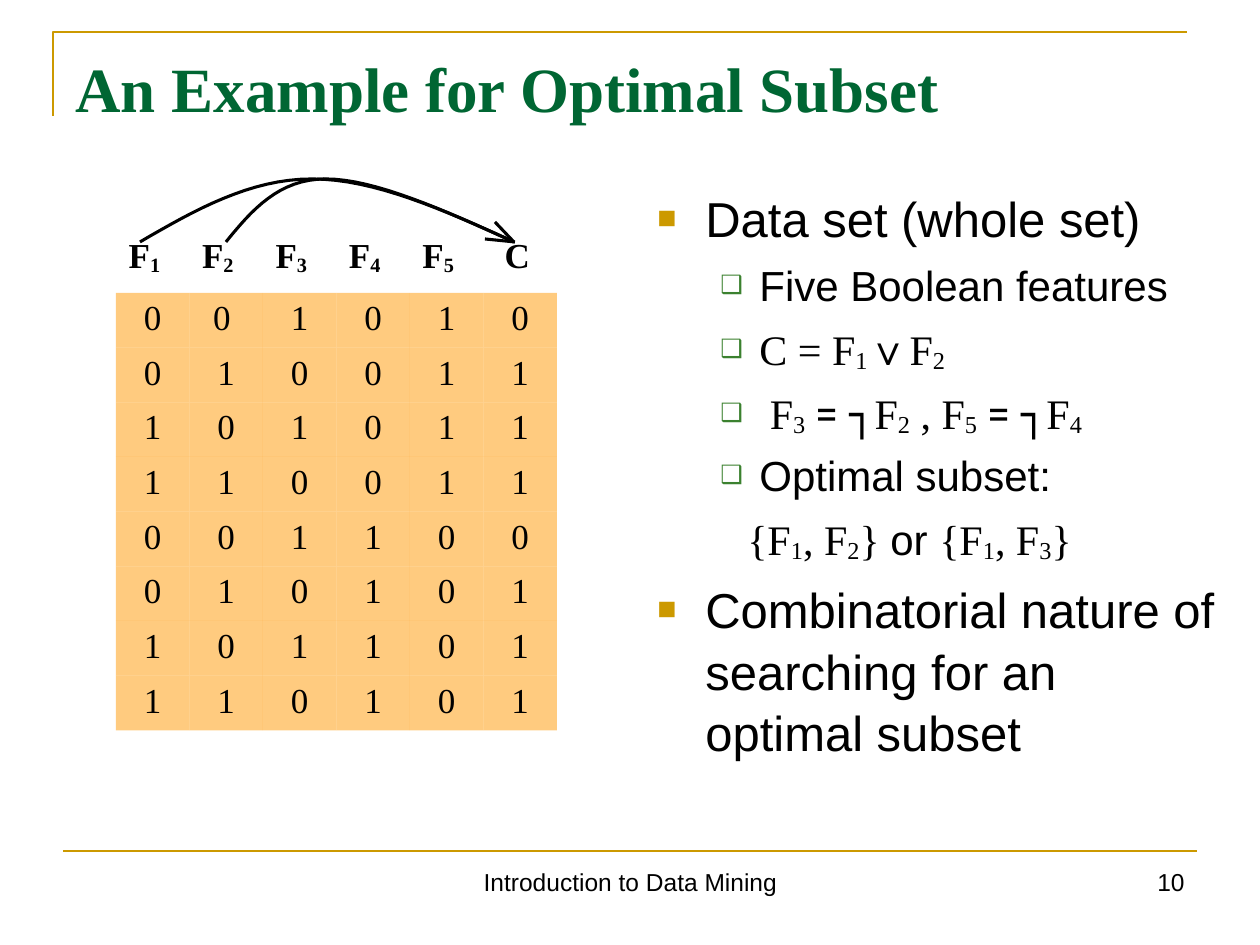
import lxml.etree
import pptx
import pptx.dml.color
import pptx.enum.shapes
import pptx.enum.text
import pptx.oxml.ns
import pptx.util

PX = 914400 / 126
COLORS = {"gold": "CC9900", "green": "006633", "bullet": "3B812F",
          "black": "000000", "orange": "FF9900"}
SERIF, SANS, SLAB = "Times New Roman", "Arial", "Roboto Slab"
ALIGN = pptx.enum.text.PP_ALIGN
ANCHOR = pptx.enum.text.MSO_ANCHOR
RGB = {k: pptx.dml.color.RGBColor.from_string(v) for k, v in COLORS.items()}
qn = pptx.oxml.ns.qn


def px(n):
    return pptx.util.Emu(round(n * PX))


def add_runs(p, text, color="black", **fmt):
    """Add text to p; the character after each underscore is a subscript."""
    first, *rest = text.split("_")
    parts = [(first, False)]
    for part in rest:
        parts += [(part[0], True), (part[1:], False)]
    for content, is_sub in parts:
        if not content:
            continue
        r = p.add_run()
        r.text = content
        r.font.color.rgb = RGB[color]
        for name, value in fmt.items():
            setattr(r.font, name, value)
        if is_sub:
            r.font._element.set("baseline", "-10000")


prs = pptx.Presentation()
prs.slide_width, prs.slide_height = px(1260), px(945)
s = prs.slides.add_slide(prs.slide_layouts[6])

# Frame, dependency curves: (points, colour, width)
outlines = [([(53, 116), (53, 32), (1187, 32)], "gold", 1.5)]
right_half = [(374, 179), (444, 210), (514, 242)]
STEPS = 16
for left_half in ([(140, 242), (195, 210), (250, 179), (312, 179)],
                  [(226, 242), (252, 210), (279, 179), (326, 179)]):
    controls = left_half + right_half
    points = [controls[0]]
    for start in (0, 3):
        for step in range(1, STEPS + 1):
            t = step / STEPS
            weights = ((1 - t) ** 3, 3 * t * (1 - t) ** 2, 3 * t * t * (1 - t), t ** 3)
            points.append(tuple(sum(w * c[axis] for w, c in zip(weights, controls[start:start + 4]))
                                for axis in (0, 1)))
    outlines.append((points, "black", 1.75))

for points, color, width in outlines:
    emu = [(px(x), px(y)) for x, y in points]
    fb = s.shapes.build_freeform(*emu[0])
    fb.add_line_segments(emu[1:], close=False)
    sp = fb.convert_to_shape()
    sp.shadow.inherit = False
    sp.fill.background()
    sp.line.color.rgb = RGB[color]
    sp.line.width = pptx.util.Pt(width)

# Footer rule and the two strokes of the arrowhead
for ends, color, width in [((63, 851, 1197, 851), "gold", 1.5),
                           ((495, 222, 513, 241), "black", 1.75),
                           ((515, 242, 485, 239), "black", 1.75)]:
    line = s.shapes.add_connector(pptx.enum.shapes.MSO_CONNECTOR.STRAIGHT, *map(px, ends))
    line.line.color.rgb = RGB[color]
    line.line.width = pptx.util.Pt(width)
    lxml.etree.SubElement(line._element.spPr, qn("a:effectLst"))

# Title and footer
for text, box, align, anchor, color, fmt in [
    ("An Example for Optimal Subset", (63, 38, 1134, 98), ALIGN.LEFT, ANCHOR.MIDDLE, "green",
     {"name": SERIF, "size": pptx.util.Pt(36), "bold": True}),
    ("Introduction to Data Mining", (431, 861, 399, 65), ALIGN.CENTER, ANCHOR.TOP, "black",
     {"name": SANS, "size": pptx.util.Pt(14)}),
    ("10", (903, 861, 294, 65), ALIGN.RIGHT, ANCHOR.TOP, "black",
     {"name": SANS, "size": pptx.util.Pt(14)}),
]:
    tf = s.shapes.add_textbox(*map(px, box)).text_frame
    tf.word_wrap = True
    tf.vertical_anchor = anchor
    p = tf.paragraphs[0]
    p.alignment = align
    add_runs(p, text, color, **fmt)

# Bulleted text: (level style, space before, runs)
STYLES = {  # left margin, hanging indent, size, bullet, bullet colour, bullet percent
    "main": (48, -48, 28, "■", "gold", 65),
    "sub": (102, -39, 24, "❑", "bullet", 60),
    "plain": (90, 0, 24, None, None, None),
}
body = [
    ("main", 0, [("Data set (whole set)", SANS)]),
    ("sub", 6, [("Five Boolean features", SANS)]),
    ("sub", 6, [("C = F_1∨F_2", SERIF)]),
    ("sub", 6, [(" ", SLAB), ("F_3", SERIF), (" = ┐", SLAB), ("F_2 , F_5", SERIF),
                (" = ┐", SLAB), ("F_4", SERIF)]),
    ("sub", 5, [("Optimal subset:", SANS)]),
    ("plain", 6, [("{F_1, F_2} ", SERIF), ("or ", SANS), ("{F_1, F_3}", SERIF)]),
    ("main", 7, [("Combinatorial nature of searching for an optimal subset", SANS)]),
]
tf = s.shapes.add_textbox(px(645), px(179), px(588), px(662)).text_frame
tf.word_wrap = True
for i, (style, before, runs) in enumerate(body):
    margin, indent, size, char, color, percent = STYLES[style]
    p = tf.add_paragraph() if i else tf.paragraphs[0]
    pPr = p._p.get_or_add_pPr()
    pPr.set("marL", str(px(margin)))
    pPr.set("indent", str(px(indent)))
    if char:
        clr = lxml.etree.SubElement(pPr, qn("a:buClr"))
        lxml.etree.SubElement(clr, qn("a:srgbClr"), val=COLORS[color])
        lxml.etree.SubElement(pPr, qn("a:buSzPct"), val=str(percent * 1000))
        lxml.etree.SubElement(pPr, qn("a:buFont"), typeface=SANS)
        lxml.etree.SubElement(pPr, qn("a:buChar"), char=char)
    p.line_spacing = 1.05
    p.space_before = pptx.util.Pt(before)
    for text, font in runs:
        add_runs(p, text, name=font, size=pptx.util.Pt(size))

# Truth table
rows = [
    ["F_1", "F_2", "F_3", "F_4", "F_5", " C"],
    ["0", "0 ", "1", "0", "1", "0"],
    *map(list, ("010011", "101011", "110011", "001100", "010101", "101101", "110101")),
]
HEADER_H, BODY_H, TABLE_W = 62, 437, 441
table = s.shapes.add_table(len(rows), len(rows[0]), px(116), px(231),
                           px(TABLE_W), px(HEADER_H + BODY_H)).table
table.first_row = table.horz_banding = False
NO_STYLE_NO_GRID = "{2D5ABB26-0587-4C30-8999-92F81FD0307C}"
table._tbl.tblPr.find(qn("a:tableStyleId")).text = NO_STYLE_NO_GRID
for col in table.columns:
    col.width = px(TABLE_W / len(rows[0]))
for i, values in enumerate(rows):
    table.rows[i].height = px(BODY_H / (len(rows) - 1) if i else HEADER_H)
    for j, value in enumerate(values):
        cell = table.cell(i, j)
        p = cell.text_frame.paragraphs[0]
        p.alignment = ALIGN.CENTER if i else ALIGN.LEFT
        add_runs(p, value, name=SERIF, size=pptx.util.Pt(20), bold=i == 0)
        if i:
            cell.fill.solid()
            cell.fill.fore_color.rgb = RGB["orange"]
            clr = cell._tc.tcPr.find(".//" + qn("a:srgbClr"))
            lxml.etree.SubElement(clr, qn("a:alpha"), val="50000")
        else:
            cell.fill.background()

prs.save("out.pptx")
